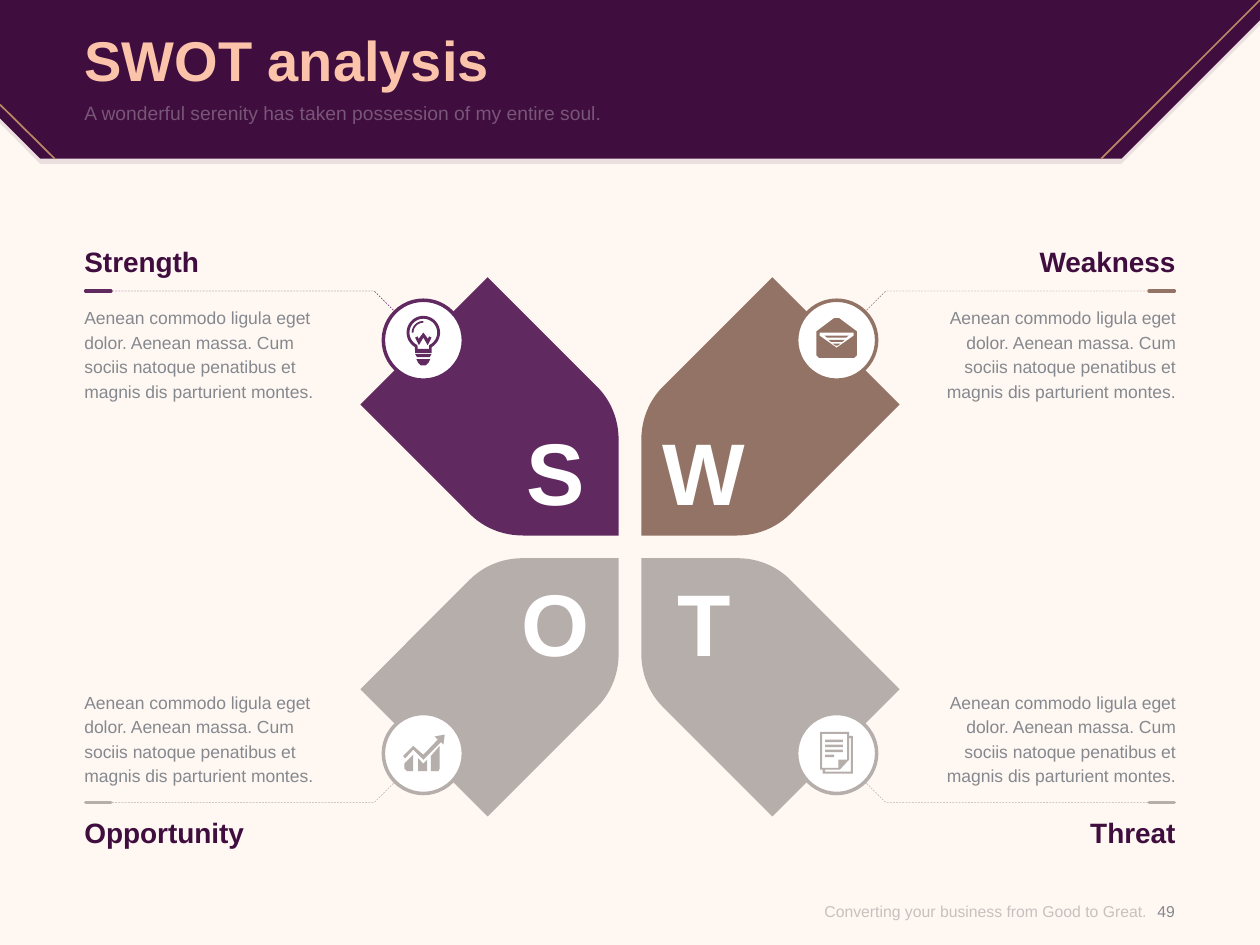
import math

import pptx
import pptx.dml.color
import pptx.enum.dml
import pptx.enum.shapes
import pptx.enum.text
import pptx.oxml
import pptx.oxml.ns
import pptx.util

COLUMNS, ROWS = 100, 75
CENTER_X, CENTER_Y = 50, 43.4
PLUM, VIOLET, BROWN, STONE = "3F0D3E", "602A60", "927365", "B6AEAB"
PEACH, GOLD, GRAY, WHITE = "FBC4AA", "B98763", "85898F", "FFFFFF"
BODY = ("Aenean commodo ligula eget dolor. Aenean massa. Cum sociis natoque "
        "penatibus et magnis dis parturient montes.")
ALIGN = pptx.enum.text.PP_ALIGN
ANCHOR = pptx.enum.text.MSO_ANCHOR


def color(value):
    return pptx.dml.color.RGBColor.from_string(value)


def set_alpha(element, percent):
    for node in element.iter(pptx.oxml.ns.qn("a:srgbClr")):
        alpha = pptx.oxml.parse_xml(
            f'<a:alpha {pptx.oxml.ns.nsdecls("a")} val="{percent * 1000}"/>')
        node.append(alpha)


def curve(*controls):
    weights = (1, 3, 3, 1)
    return [tuple(sum(w * (1 - t) ** (3 - i) * t ** i * point[axis]
                      for i, (w, point) in enumerate(zip(weights, controls)))
                  for axis in (0, 1))
            for t in (step / 12 for step in range(13))]


def arc(y, radius, start, end):
    angles = (math.radians(start + (end - start) * step / 30) for step in range(31))
    return [(radius * math.cos(angle), y + radius * math.sin(angle)) for angle in angles]


def bar(left, top, right, bottom):
    return [(left, top), (right, top), (right, bottom), (left, bottom)]


def place(points, x, y, flip_x=1, flip_y=1):
    return [(x + flip_x * px, y + flip_y * py) for px, py in points]


class Deck:
    font = "Arial"

    def __init__(self, background):
        self.presentation = pptx.Presentation()
        self.presentation.slide_width = pptx.util.Inches(10)
        self.presentation.slide_height = pptx.util.Inches(7.5)
        self.slide = self.presentation.slides.add_slide(self.presentation.slide_layouts[6])
        self.slide.background.fill.solid()
        self.slide.background.fill.fore_color.rgb = color(background)

    def x(self, columns):
        return round(self.presentation.slide_width * columns / COLUMNS)

    def y(self, rows):
        return round(self.presentation.slide_height * rows / ROWS)

    def box(self, left, top, width, height):
        return self.x(left), self.y(top), self.x(width), self.y(height)

    def paint(self, shape, fill=None, line=None, width=1, dash=None, alpha=None):
        shape.shadow.inherit = False
        if fill:
            shape.fill.solid()
            shape.fill.fore_color.rgb = color(fill)
        else:
            shape.fill.background()
        if line:
            self.stroke(shape.line, line, width, dash)
        else:
            shape.line.fill.background()
        if alpha:
            set_alpha(shape.fill._xPr, alpha)

    def stroke(self, line, line_color, width, dash=None):
        line.color.rgb = color(line_color)
        for name, value in {"width": pptx.util.Pt(width), "dash_style": dash}.items():
            setattr(line, name, value)

    def outline(self, contours, closed=True, **style):
        scaled = [[(self.x(x), self.y(y)) for x, y in contour] for contour in contours]
        builder = self.slide.shapes.build_freeform(*scaled[0][0], scale=1.0)
        for index, contour in enumerate(scaled):
            if index:
                builder.move_to(*contour[0])
            builder.add_line_segments(contour[1:], close=closed)
        self.paint(builder.convert_to_shape(), **style)

    def circle(self, x, y, diameter, **style):
        box = self.box(x - diameter / 2, y - diameter / 2, diameter, diameter)
        self.paint(self.slide.shapes.add_shape(
            pptx.enum.shapes.MSO_SHAPE.OVAL, *box), **style)

    def line(self, start, end, line_color, width, cap="flat"):
        connector = self.slide.shapes.add_connector(
            pptx.enum.shapes.MSO_CONNECTOR.STRAIGHT,
            self.x(start[0]), self.y(start[1]), self.x(end[0]), self.y(end[1]))
        self.stroke(connector.line, line_color, width)
        connector.line._get_or_add_ln().set("cap", cap)
        connector._element.spPr.append(pptx.oxml.parse_xml(
            f'<a:effectLst {pptx.oxml.ns.nsdecls("a")}/>'))

    def text(self, words, box, size, text_color, bold=False, align=ALIGN.LEFT,
             anchor=ANCHOR.TOP, spacing=None, alpha=None):
        frame = self.slide.shapes.add_textbox(*self.box(*box)).text_frame
        paragraph = frame.paragraphs[0]
        run = paragraph.add_run()
        run.text = words
        formats = {
            frame: {"word_wrap": True, "vertical_anchor": anchor, "margin_left": 0,
                    "margin_right": 0, "margin_top": 0, "margin_bottom": 0},
            paragraph: {"alignment": align,
                        "line_spacing": pptx.util.Pt(spacing) if spacing else None},
            run.font: {"name": self.font, "size": pptx.util.Pt(size), "bold": bold},
        }
        for target, values in formats.items():
            for name, value in values.items():
                setattr(target, name, value)
        run.font.color.rgb = color(text_color)
        if alpha:
            set_alpha(run._r, alpha)


PETAL = [*curve((0.9, 8.5), (0.9, 10.1), (1.5, 11.6), (2.6, 12.7)),
         (11.3, 21.4), (21.4, 11.3),
         *curve((12.7, 2.6), (11.6, 1.5), (10.1, 0.9), (8.5, 0.9)), (0.9, 0.9)]
BULB = [
    arc(-0.6, 1.33, 120, 420) + [(0.65, 1), (-0.65, 1)],
    arc(-0.6, 1.1, 115, 425) + [(0.45, 0.7), (-0.45, 0.7)],
    arc(-0.6, 0.92, 180, 270) + arc(-0.6, 0.78, 270, 180),
    [(0.37, -0.1), (0, -0.6), (-0.37, -0.1), (-0.45, -0.3), (-0.65, -0.2),
     (-0.35, 0.4), (0, -0.2), (0.35, 0.4), (0.65, -0.2), (0.45, -0.3)],
    [(-0.65, 1.1), (0.65, 1.1), (0.5, 1.35), (-0.5, 1.35)],
    [(-0.55, 1.5), (0.55, 1.5), (0.4, 1.8), (0.2, 2), (-0.2, 2), (-0.4, 1.8)],
]
ENVELOPE = [
    [(-1.6, -0.7), (-0.2, -1.75), (0.2, -1.75), (1.6, -0.7), (1.6, 1.2),
     (1.4, 1.4), (-1.4, 1.4), (-1.6, 1.2)],
    [(-1.35, -0.6), (1.35, -0.6), (1.35, -0.35), (0, 0.6), (-1.35, -0.35)],
    *([(-half, top), (half, top), (half - 0.2, top + 0.15), (0.2 - half, top + 0.15)]
      for half, top in ((0.95, -0.35), (0.65, -0.02), (0.3, 0.28))),
]
GROWTH = [
    [(-1.5, 0.8), (-0.8, 0.1), (-0.8, 1.4), (-1.3, 1.4), (-1.5, 1.2)],
    [(-0.4, 0.4), (0, 0.8), (0.3, 0.5), (0.3, 1.4), (-0.4, 1.4)],
    [(0.6, 0.2), (1.3, -0.6), (1.3, 1.2), (1.2, 1.4), (0.6, 1.4)],
    [(-1.6, 0.2), (-0.8, -0.6), (0, 0.1), (1.15, -1.1), (0.9, -1.35), (1.7, -1.5),
     (1.6, -0.7), (1.4, -0.9), (0, 0.5), (-0.8, -0.3), (-1.45, 0.4)],
]
DOCUMENT = [
    [(-1.3, -1.7), (1, -1.7), (1, -1.4), (1.3, -1.4), (1.3, 1.6), (-1.1, 1.6),
     (-1.1, 1.3), (-1.3, 1.3)],
    [(-1.15, -1.55), (0.85, -1.55), (0.85, 0.5), (0.15, 0.5), (0.15, 1.15), (-1.15, 1.15)],
    [(-0.9, 1.3), (0.25, 1.3), (1, 0.5), (1, -1.2), (1.15, -1.2), (1.15, 1.45), (-0.9, 1.45)],
    *(bar(-0.9, top, right, top + 0.2)
      for top, right in ((-1.1, 0.5), (-0.7, 0.5), (-0.3, 0.5), (0.1, -0.2))),
]
QUADRANTS = [("Strength", "S", VIOLET, -1, -1, BULB), ("Weakness", "W", BROWN, 1, -1, ENVELOPE),
             ("Opportunity", "O", STONE, -1, 1, GROWTH), ("Threat", "T", STONE, 1, 1, DOCUMENT)]


def add_header(deck):
    banner = [(0, 0), (100, 0), (100, 1.6), (89, 12.6), (3.2, 12.6), (0, 9.4)]
    deck.outline([place(banner, 0, 0.4)], fill=PLUM, alpha=10)
    deck.outline([banner], fill=PLUM)
    deck.line((100, 0), (87.4, 12.6), GOLD, 1)
    deck.line((0, 8.3), (4.35, 12.6), GOLD, 1)
    deck.text("SWOT analysis", (6.7, 1.4, 86.6, 6.5), 32, PEACH, bold=True, anchor=ANCHOR.MIDDLE)
    deck.text("A wonderful serenity has taken possession of my entire soul.",
              (6.7, 8, 86.6, 3.9), 11, WHITE, alpha=30)


def add_quadrant(deck, title, letter, tint, side, level, icon):
    def mirror(points):
        return place(points, CENTER_X, CENTER_Y, side, level)

    lower = level > 0
    align = ALIGN.RIGHT if side > 0 else ALIGN.LEFT
    left = CENTER_X + side * 33.6 - 9.7
    deck.outline([mirror([(41.6, 20.3), (20.3, 20.3), (17.7, 17.7)])], closed=False,
                 line=tint, width=0.25, dash=pptx.enum.dml.MSO_LINE.DASH)
    deck.outline([mirror(PETAL)], fill=tint)
    hub = mirror([(16.4, 16.4)])[0]
    deck.circle(*hub, 6.35, fill=WHITE, line=tint, width=2)
    deck.outline([place(contour, *hub) for contour in icon], fill=tint)
    deck.text(BODY, (left, 54.7 if lower else 24.1, 19.4, 7.7), 10, GRAY, align=align,
              anchor=ANCHOR.BOTTOM if lower else ANCHOR.TOP, spacing=14)
    deck.text(title, (left, 64.7 if lower else 19.4, 19.4, 2.7), 16, PLUM, bold=True, align=align)
    deck.line(*mirror([(41.2, 20.3), (43.2, 20.3)]), tint, 2, cap="rnd")
    deck.text(letter, (CENTER_X + side * 5.9 - 4.35, 45.2 if lower else 33.2, 8.7, 8.4),
              50, WHITE, bold=True, align=ALIGN.CENTER)


def main():
    deck = Deck("FFF7F2")
    add_header(deck)
    for quadrant in QUADRANTS:
        add_quadrant(deck, *quadrant)
    deck.text("Converting your business from Good to Great.", (60.4, 69.6, 30.6, 5.4), 9,
              "8C8C8C", align=ALIGN.RIGHT, anchor=ANCHOR.MIDDLE, alpha=50)
    deck.text("49", (90.2, 69.6, 4.7, 5.4), 9, GRAY, align=ALIGN.CENTER, anchor=ANCHOR.MIDDLE)
    deck.presentation.save("out.pptx")


if __name__ == "__main__":
    main()
